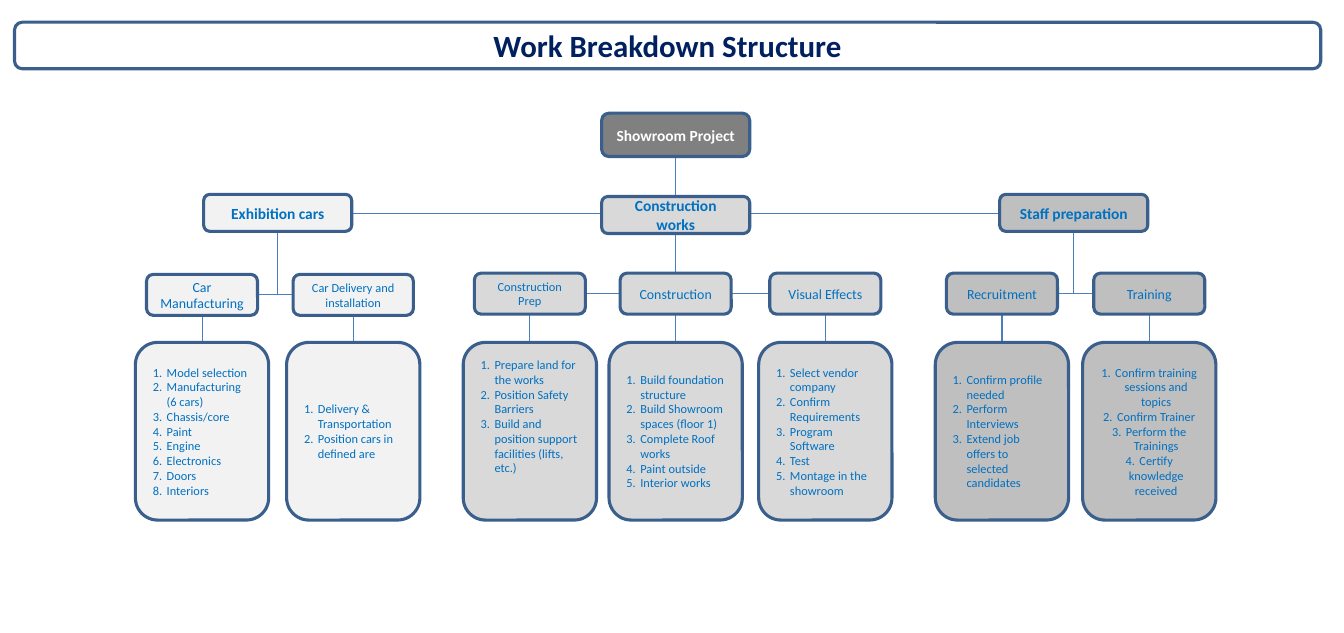
import lxml.etree
import pptx
import pptx.dml.color
import pptx.enum.shapes
import pptx.enum.text
import pptx.oxml.ns
import pptx.util

Pt = pptx.util.Pt
RGBColor = pptx.dml.color.RGBColor
PP_ALIGN = pptx.enum.text.PP_ALIGN
qn = pptx.oxml.ns.qn

WHITE = RGBColor(0xFF, 0xFF, 0xFF)
LIGHT = RGBColor(0xF2, 0xF2, 0xF2)
MEDIUM = RGBColor(0xD9, 0xD9, 0xD9)
DARK = RGBColor(0xBF, 0xBF, 0xBF)
GRAY = RGBColor(0x80, 0x80, 0x80)
NAVY = RGBColor(0x00, 0x20, 0x60)
BLUE = RGBColor(0x00, 0x70, 0xC0)
BORDER = RGBColor(0x3A, 0x5F, 0x8C)
LINK = RGBColor(0x4B, 0x7E, 0xBC)

FONT = "Calibri"
ROOT_X = 438
BRANCH_Y = 138.3
BRANCH_W, BRANCH_H = 96, 24
PACKAGE_W, PACKAGE_H = 72, 26.6
LIST_TOP, LIST_W, LIST_H = 222, 86.4, 115.2
LIST_INDENT = 9

BRANCHES = [
    ("Exhibition cars", 180, 126, 191.2, LIGHT, [
        dict(name="Car Manufacturing", x=131, tasks=[
            "Model selection", "Manufacturing (6 cars)", "Chassis/core", "Paint",
            "Engine", "Electronics", "Doors", "Interiors"]),
        dict(name="Car Delivery and installation", x=229, width=78, size=8, tasks=[
            "Delivery & Transportation", "Position cars in defined are"]),
    ]),
    ("Construction works", ROOT_X, 127.4, 190.4, MEDIUM, [
        dict(name="Construction Prep", x=343.5, size=8, bottom=23, tasks=[
            "Prepare land for the works", "Position Safety Barriers",
            "Build and position support facilities (lifts, etc.)"]),
        dict(name="Construction", x=ROOT_X, tasks=[
            "Build foundation structure", "Build Showroom spaces (floor 1)",
            "Complete Roof works", "Paint outside", "Interior works"]),
        dict(name="Visual Effects", x=535, tasks=[
            "Select vendor company", "Confirm Requirements", "Program Software",
            "Test", "Montage in the showroom"]),
    ]),
    ("Staff preparation", 696, 126, 190.4, DARK, [
        dict(name="Recruitment", x=649.5, tasks=[
            "Confirm profile needed", "Perform Interviews",
            "Extend job offers to selected candidates"]),
        dict(name="Training", x=745, align=PP_ALIGN.CENTER, tasks=[
            "Confirm training sessions and topics", "Confirm Trainer",
            "Perform the Trainings", "Certify knowledge received"]),
    ]),
]


def add_link(slide, x1, y1, x2, y2):
    line = slide.shapes.add_connector(
        pptx.enum.shapes.MSO_CONNECTOR.STRAIGHT, Pt(x1), Pt(y1), Pt(x2), Pt(y2))
    line.line.color.rgb = LINK
    line.line.width = Pt(0.75)
    lxml.etree.SubElement(line._element.spPr, qn("a:effectLst"))


def add_box(slide, x, top, width, height, text, fill, size,
            color=BLUE, bold=False, align=PP_ALIGN.CENTER):
    sp = slide.shapes.add_shape(
        pptx.enum.shapes.MSO_SHAPE.ROUNDED_RECTANGLE,
        Pt(x - width / 2), Pt(top), Pt(width), Pt(height))
    sp.shadow.inherit = False
    sp.fill.solid()
    sp.fill.fore_color.rgb = fill
    sp.line.color.rgb = BORDER
    sp.line.width = Pt(2)
    tf = sp.text_frame
    tf.word_wrap = True
    tf.vertical_anchor = pptx.enum.text.MSO_ANCHOR.MIDDLE
    tf.text = text
    for p in tf.paragraphs:
        p.alignment = align
        for r in p.runs:
            r.font.name = FONT
            r.font.size = Pt(size)
            r.font.bold = bold
            r.font.color.rgb = color
    return sp


def add_task_list(slide, x, tasks, fill, align, bottom):
    sp = add_box(slide, x, LIST_TOP, LIST_W, LIST_H, "\n".join(tasks), fill, 8, align=align)
    sp.text_frame.margin_bottom = Pt(bottom)
    for p in sp.text_frame.paragraphs:
        pPr = p._p.get_or_add_pPr()
        pPr.set("marL", str(Pt(LIST_INDENT)))
        pPr.set("indent", str(-Pt(LIST_INDENT)))
        lxml.etree.SubElement(pPr, qn("a:buAutoNum"), type="arabicPeriod")


def add_package(slide, y, fill, name, x, tasks, width=PACKAGE_W, size=9,
                align=PP_ALIGN.LEFT, bottom=3.6):
    add_link(slide, x, y, x, LIST_TOP)
    add_box(slide, x, y - PACKAGE_H / 2, width, PACKAGE_H, name, fill, size)
    add_task_list(slide, x, tasks, fill, align, bottom)


def add_branch(slide, name, x, top, package_y, fill, packages):
    add_link(slide, x, top + BRANCH_H, x, package_y)
    add_link(slide, packages[0]["x"], package_y, packages[-1]["x"], package_y)
    add_box(slide, x, top, BRANCH_W * 1, BRANCH_H, name, fill, 10, bold=True)
    for package in packages:
        add_package(slide, package_y, fill, **package)


def main():
    prs = pptx.Presentation()
    prs.slide_width, prs.slide_height = Pt(871.2), Pt(410.4)
    slide = prs.slides.add_slide(prs.slide_layouts[6])
    add_box(slide, 432.8, 14.4, 846.7, 30.2, "Work Breakdown Structure",
            WHITE, 20, NAVY, True)
    add_link(slide, BRANCHES[0][1], BRANCH_Y, BRANCHES[-1][1], BRANCH_Y)
    add_link(slide, ROOT_X, 101.5, ROOT_X, BRANCH_Y)
    add_box(slide, ROOT_X, 73.4, BRANCH_W, 28.1, "Showroom Project", GRAY, 10, WHITE, True)
    for branch in BRANCHES:
        add_branch(slide, *branch)
    prs.save("out.pptx")


main()
